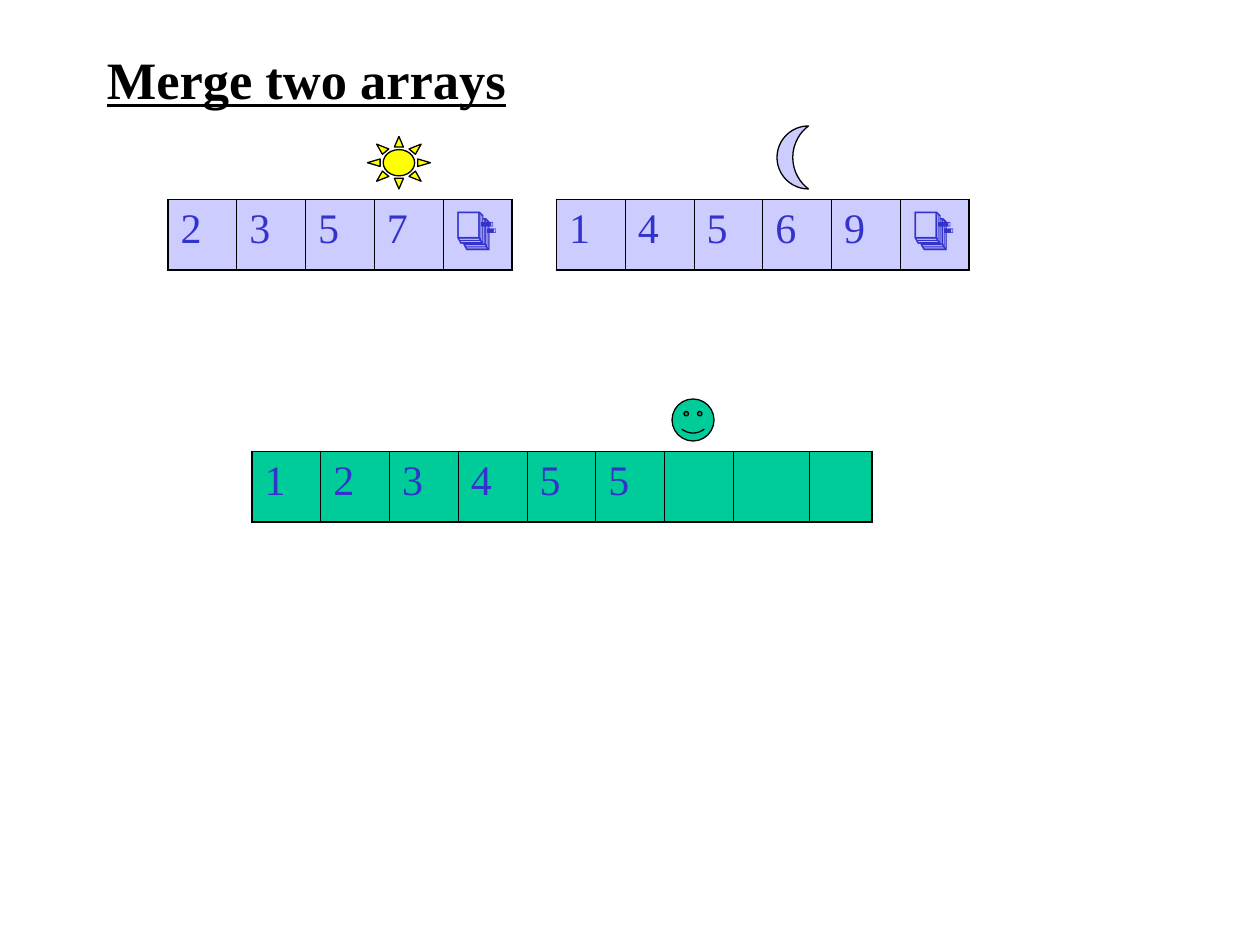
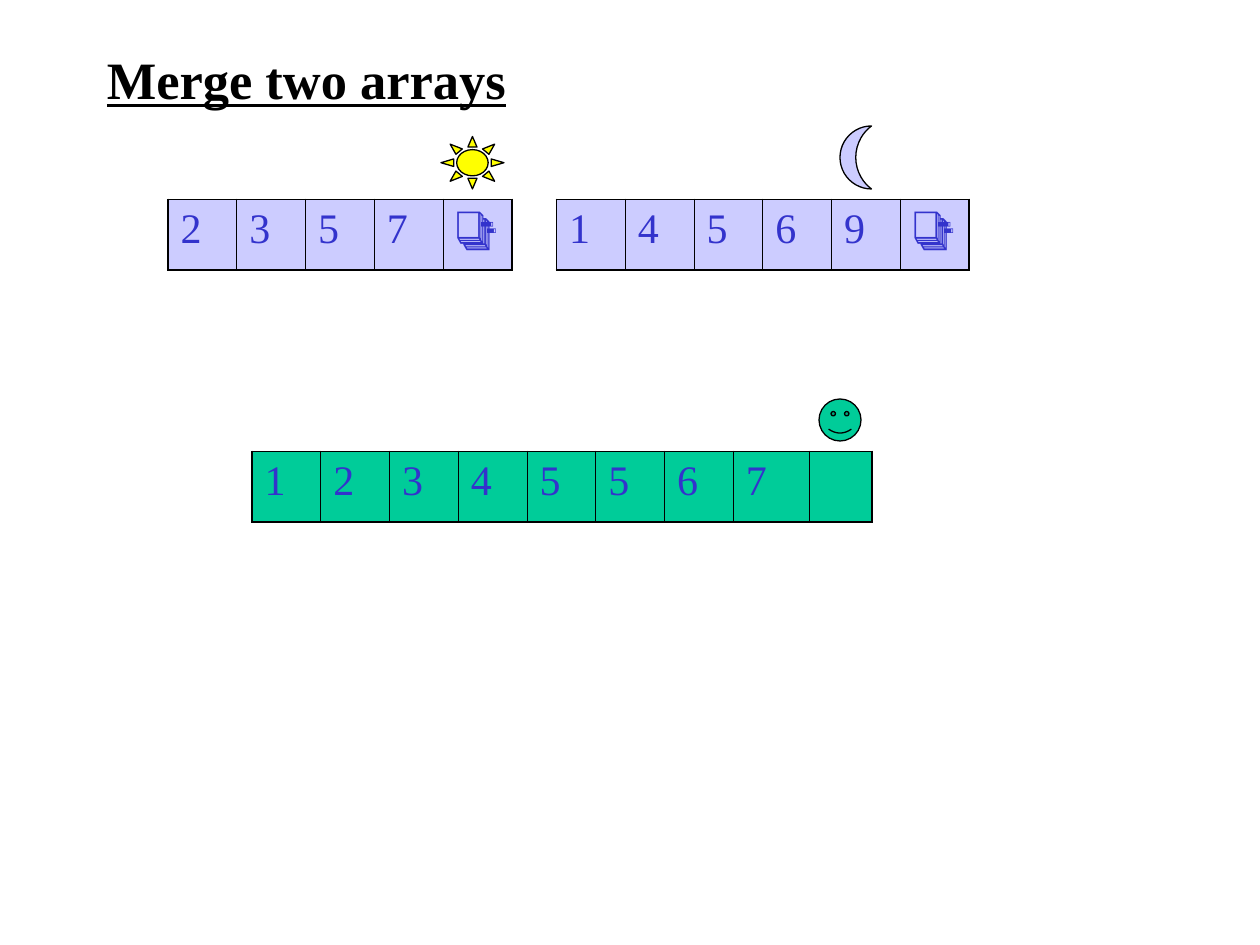
from dataclasses import dataclass

from lxml.etree import SubElement
from pptx import Presentation
from pptx.dml.color import RGBColor
from pptx.enum.shapes import MSO_SHAPE
from pptx.enum.text import MSO_ANCHOR
from pptx.oxml.ns import qn
from pptx.util import Inches, Pt


@dataclass(frozen=True)
class Theme:
    ink: str = "000000"
    digit: str = "3333CC"
    source: str = "CCCCFF"
    merged: str = "00CC99"
    sun: str = "FFFF00"
    font: str = "Times New Roman"
    title_size: float = 30
    digit_size: float = 24
    outer_line: float = 1.08
    inner_line: float = 0.45
    marker_line: float = 0.75


theme = Theme()

# The slide is a grid of 120 columns and 90 rows, twelve to the inch.
GRID_COLUMNS, GRID_ROWS = 120, 90
UNIT = Inches(1) / 12
CELL_WIDTH, CELL_HEIGHT = 6.55, 6.7


def grid(*steps):
    return [round(step * UNIT) for step in steps]


def add_array(slide, left, top, widths, values, color):
    """Draw a one-row table with a heavy frame and thin inner lines."""
    last = len(widths) - 1
    frame = slide.shapes.add_table(
        1, len(widths), *grid(left, top, sum(widths), CELL_HEIGHT))
    array = frame.table
    array.first_row = array.horz_banding = False
    for index, (width, value) in enumerate(zip(widths, values)):
        array.columns[index].width = grid(width)[0]
        cell = array.cell(0, index)
        cell.text_frame.text = value
        for run in cell.text_frame.paragraphs[0].runs:
            run.font.name = theme.font
            run.font.size = Pt(theme.digit_size)
            run.font.color.rgb = RGBColor.from_string(theme.digit)

        # Borders must come before the fill in the cell properties.
        properties = cell._tc.get_or_add_tcPr()
        for side in ("L", "R", "T", "B"):
            inner = (side == "L" and index > 0) or (side == "R" and index < last)
            weight = theme.inner_line if inner else theme.outer_line
            border = SubElement(properties, qn(f"a:ln{side}"), w=str(Pt(weight)))
            ink = SubElement(border, qn("a:solidFill"))
            SubElement(ink, qn("a:srgbClr"), val=theme.ink)
        cell.fill.solid()
        cell.fill.fore_color.rgb = RGBColor.from_string(color)


# One entry per slide: the merged values and the left column of each marker.
steps = [
    {"merged": "123455", "moon": 74, "smiley": 64, "sun": 35},
    {"merged": "12345567", "moon": 80, "smiley": 78, "sun": 42},
]

# Marker: preset, top row, width, height, colour.
markers = {
    "moon": (MSO_SHAPE.MOON, 12, 3, 6, theme.source),
    "smiley": (MSO_SHAPE.SMILEY_FACE, 38, 4, 4, theme.merged),
    "sun": (MSO_SHAPE.SUN, 13, 6, 5, theme.sun),
}

# Source array: left column, values.
sources = [(16, "2357📑"), (53, "14569📑")]
merged_widths = [CELL_WIDTH] * 7 + [7.2, 6]

prs = Presentation()
prs.slide_width, prs.slide_height = grid(GRID_COLUMNS, GRID_ROWS)

for step in steps:
    slide = prs.slides.add_slide(prs.slide_layouts[6])

    title = slide.shapes.add_textbox(*grid(9, 4, 81, 7)).text_frame
    title.word_wrap = True
    title.vertical_anchor = MSO_ANCHOR.MIDDLE
    title.text = "Merge two arrays"
    heading = title.paragraphs[0].runs[0].font
    heading.name = theme.font
    heading.size = Pt(theme.title_size)
    heading.bold = heading.underline = True
    heading.color.rgb = RGBColor.from_string(theme.ink)

    for left, values in sources:
        add_array(slide, left, 19, [CELL_WIDTH] * len(values), values, theme.source)
    merged = step["merged"]
    padded = list(merged) + [""] * (len(merged_widths) - len(merged))
    add_array(slide, 24, 43, merged_widths, padded, theme.merged)

    for name, (preset, top, width, height, color) in markers.items():
        marker = slide.shapes.add_shape(preset, *grid(step[name], top, width, height))
        marker.shadow.inherit = False
        marker.fill.solid()
        marker.fill.fore_color.rgb = RGBColor.from_string(color)
        marker.line.color.rgb = RGBColor.from_string(theme.ink)
        marker.line.width = Pt(theme.marker_line)

prs.save("out.pptx")
